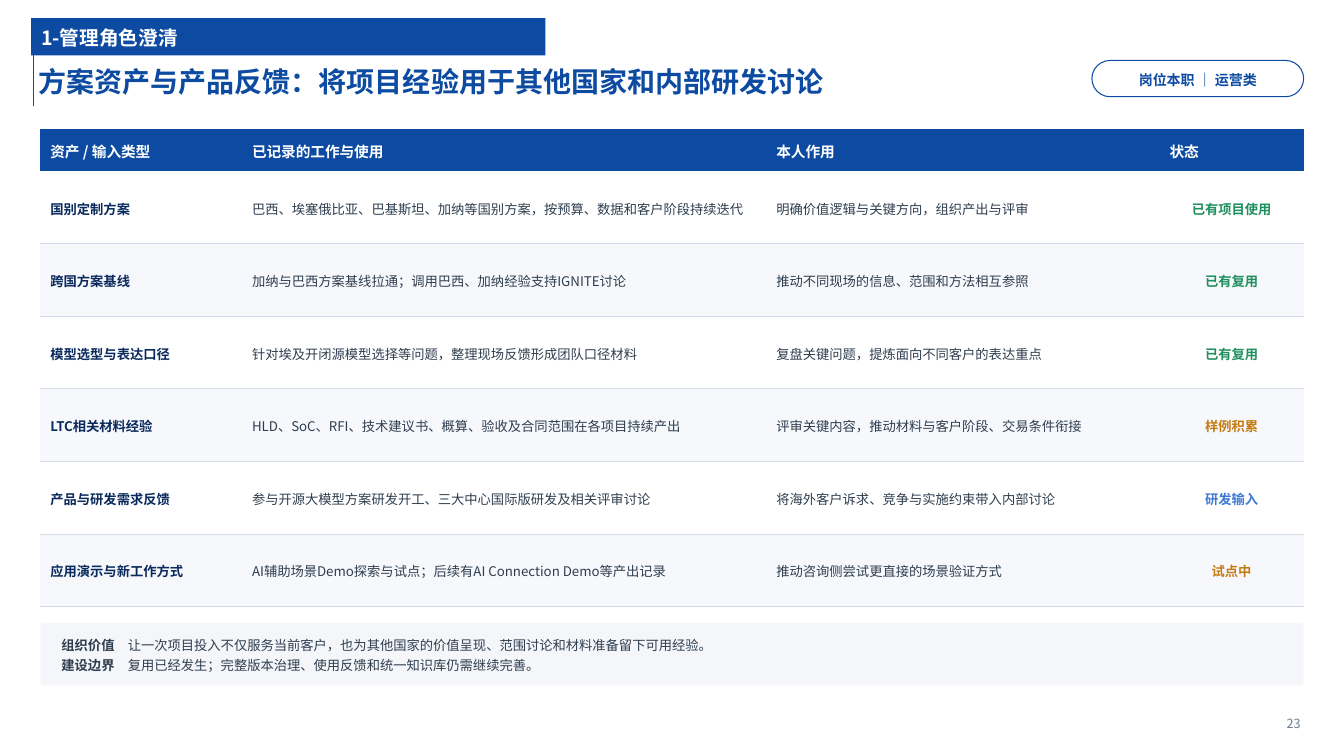
from lxml import etree
from pptx import Presentation
from pptx import util as u
from pptx.dml.color import RGBColor
from pptx.enum import shapes, text
from pptx.oxml import ns

PX = 9144  # 100 px to the inch
FONT = "Noto Sans CJK SC"
BLUE, NAVY, INK, WHITE = "0C4BA1", "0A2A5E", "2F3E4F", "FFFFFF"
GREEN, AMBER, SKY = "1F8F5F", "C57B14", "3F7BD6"
LEFT, CENTER, RIGHT = text.PP_ALIGN.LEFT, text.PP_ALIGN.CENTER, text.PP_ALIGN.RIGHT


def rgb(value):
    return RGBColor.from_string(value)


def write(tf, paragraphs, size, color, align=LEFT, spacing=1.12, after=0, insets=None):
    """Each paragraph is a list of (words, bold) runs; insets are px."""
    tf.word_wrap = True
    tf.vertical_anchor = text.MSO_ANCHOR.MIDDLE
    for side, px in zip(("left", "top", "right", "bottom"), insets or ()):
        setattr(tf, "margin_" + side, px * PX)
    for i, runs in enumerate(paragraphs):
        p = tf.add_paragraph() if i else tf.paragraphs[0]
        formats = {"alignment": align, "line_spacing": spacing,
                   "space_before": u.Pt(0), "space_after": u.Pt(after)}
        for name, value in formats.items():
            setattr(p, name, value)
        for words, bold in runs:
            r = p.add_run()
            r.text = words
            for name, value in {"size": u.Pt(size), "bold": bold, "name": FONT}.items():
                setattr(r.font, name, value)
            r.font.color.rgb = rgb(color)
            etree.SubElement(r.font._element, ns.qn("a:ea"), typeface=FONT)


prs = Presentation()
prs.slide_width, prs.slide_height = 1333 * PX, 750 * PX
s = prs.slides.add_slide(prs.slide_layouts[5])

# Rule beside the title
rule = s.shapes.add_connector(shapes.MSO_CONNECTOR.STRAIGHT, 33 * PX, 24 * PX, 33 * PX, 105 * PX)
rule.line.color.rgb = rgb(BLUE)
rule.line.width = u.Pt(1)
etree.SubElement(rule._element.spPr, ns.qn("a:effectLst"))

# Title
title = s.shapes.title
for name, px in {"left": 33, "top": 53, "width": 1150, "height": 52}.items():
    setattr(title, name, px * PX)
write(title.text_frame, [[("方案资产与产品反馈：将项目经验用于其他国家和内部研发讨论", True)]],
      20, BLUE, insets=(5, 0, 5, 0))
title.text_frame.auto_size = text.MSO_AUTO_SIZE.NONE

# Section tag, role pill and note panel
RECT, ROUND = shapes.MSO_SHAPE.RECTANGLE, shapes.MSO_SHAPE.ROUNDED_RECTANGLE
boxes = {}
for key, kind, box, fill, line, radius in (
    ("tag", RECT, (31, 18, 510, 37), BLUE, None, None),
    ("pill", ROUND, (1083, 60, 210, 36), WHITE, BLUE, 0.5),
    ("panel", ROUND, (40, 618, 1253, 62), "F4F6F9", None, 0.05),
):
    sp = s.shapes.add_shape(kind, *(px * PX for px in box))
    sp.shadow.inherit = False
    sp.fill.solid()
    sp.fill.fore_color.rgb = rgb(fill)
    if line:
        sp.line.color.rgb = rgb(line)
        sp.line.width = u.Pt(0.75)
    else:
        sp.line.fill.background()
    if radius:
        sp.adjustments[0] = radius
    boxes[key] = sp
write(boxes["tag"].text_frame, [[("1-管理角色澄清", True)]], 14, WHITE, insets=(10, 0, 5, 0))
write(boxes["pill"].text_frame, [[("岗位本职 ｜ 运营类", True)]], 10, BLUE, CENTER,
      insets=(4, 0, 4, 0))

# Asset table
header = ("资产 / 输入类型", "已记录的工作与使用", "本人作用", "状态")
assets = (
    ("国别定制方案", "巴西、埃塞俄比亚、巴基斯坦、加纳等国别方案，按预算、数据和客户阶段持续迭代",
     "明确价值逻辑与关键方向，组织产出与评审", "已有项目使用", GREEN),
    ("跨国方案基线", "加纳与巴西方案基线拉通；调用巴西、加纳经验支持IGNITE讨论",
     "推动不同现场的信息、范围和方法相互参照", "已有复用", GREEN),
    ("模型选型与表达口径", "针对埃及开闭源模型选择等问题，整理现场反馈形成团队口径材料",
     "复盘关键问题，提炼面向不同客户的表达重点", "已有复用", GREEN),
    ("LTC相关材料经验", "HLD、SoC、RFI、技术建议书、概算、验收及合同范围在各项目持续产出",
     "评审关键内容，推动材料与客户阶段、交易条件衔接", "样例积累", AMBER),
    ("产品与研发需求反馈", "参与开源大模型方案研发开工、三大中心国际版研发及相关评审讨论",
     "将海外客户诉求、竞争与实施约束带入内部讨论", "研发输入", SKY),
    ("应用演示与新工作方式", "AI辅助场景Demo探索与试点；后续有AI Connection Demo等产出记录",
     "推动咨询侧尝试更直接的场景验证方式", "试点中", AMBER),
)
table = s.shapes.add_table(len(assets) + 1, 4, 40 * PX, 128 * PX, 1253 * PX, 474 * PX).table
table.horz_banding = False
table._tbl.tblPr.find(ns.qn("a:tableStyleId")).text = "{2D5ABB26-0587-4C30-8999-92F81FD0307C}"
for column, px in zip(table.columns, (200, 520, 390, 143)):
    column.width = px * PX
for i, row in enumerate(table.rows):
    row.height = (72 if i else 42) * PX

for c, words in enumerate(header):
    cell = table.cell(0, c)
    cell.fill.solid()
    cell.fill.fore_color.rgb = rgb(BLUE)
    cell.vertical_anchor = text.MSO_ANCHOR.MIDDLE
    write(cell.text_frame, [[(words, True)]], 10.5, WHITE)

for i, (*values, status_color) in enumerate(assets, 1):
    for c, words in enumerate(values):
        cell = table.cell(i, c)
        cell.fill.solid()
        cell.fill.fore_color.rgb = rgb(WHITE if i % 2 else "F6F8FC")
        cell.vertical_anchor = text.MSO_ANCHOR.MIDDLE
        write(cell.text_frame, [[(words, c in (0, 3))]], 9.5, (NAVY, INK, INK, status_color)[c],
              CENTER if c == 3 else LEFT, 1.08, 2)
        # Bottom border
        border = etree.Element(ns.qn("a:lnB"), w=str(u.Pt(0.75)))
        fill = etree.SubElement(border, ns.qn("a:solidFill"))
        etree.SubElement(fill, ns.qn("a:srgbClr"), val="D3DCE8")
        cell._tc.get_or_add_tcPr().insert(0, border)

# Closing notes and page number
notes = [
    [("组织价值", True), ("　让一次项目投入不仅服务当前客户，也为其他国家的价值呈现、范围讨论和材料准备留下可用经验。", False)],
    [("建设边界", True), ("　复用已经发生；完整版本治理、使用反馈和统一知识库仍需继续完善。", False)],
]
tb = s.shapes.add_textbox(55 * PX, 618 * PX, 1223 * PX, 62 * PX)
write(tb.text_frame, notes, 9.5, INK, after=1, insets=(6, 4, 6, 4))
tb = s.shapes.add_textbox(1200 * PX, 702 * PX, 95 * PX, 30 * PX)
write(tb.text_frame, [[("23", False)]], 9, "6F7E8F", RIGHT, insets=(0, 0, 5, 0))

prs.save("out.pptx")
